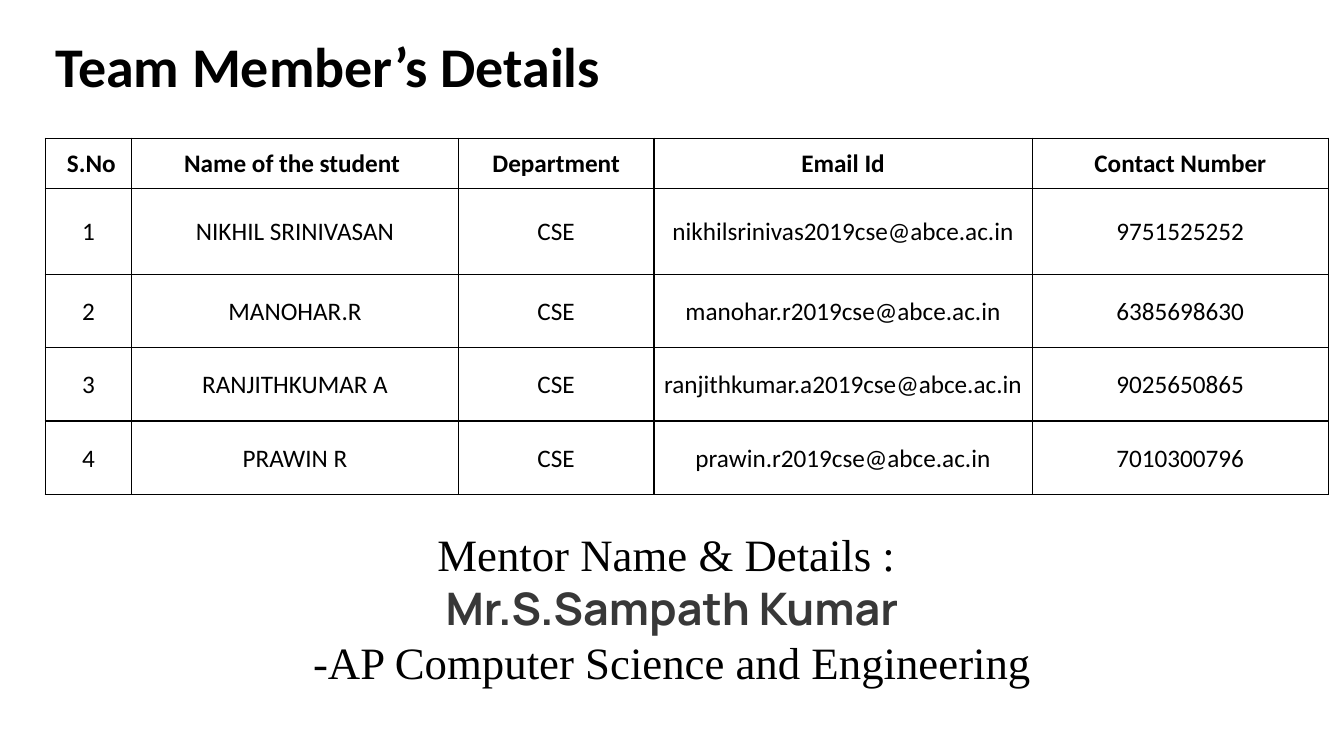
from lxml import etree
from pptx import Presentation
from pptx.dml.color import RGBColor
from pptx.enum.text import MSO_ANCHOR, MSO_AUTO_SIZE, PP_ALIGN
from pptx.oxml.ns import qn
from pptx.util import Cm, Pt

LEFT, CENTER = PP_ALIGN.LEFT, PP_ALIGN.CENTER
TOP, MIDDLE = MSO_ANCHOR.TOP, MSO_ANCHOR.MIDDLE
NO_AUTOFIT = MSO_AUTO_SIZE.NONE

BLACK = RGBColor(0x00, 0x00, 0x00)
GREY = RGBColor(0x38, 0x38, 0x38)

COL_WIDTHS = (2.18, 8.23, 4.93, 9.53, 7.47)
ROW_HEIGHTS = (1.27, 2.16, 1.85, 1.85, 1.85)
HEADERS = (" S.No", "Name of the student ", "Department", "Email Id", "Contact Number")
MEMBERS = (
    ("NIKHIL SRINIVASAN", "nikhilsrinivas2019cse@abce.ac.in", "9751525252"),
    ("MANOHAR.R", "manohar.r2019cse@abce.ac.in", "6385698630"),
    ("RANJITHKUMAR A", "ranjithkumar.a2019cse@abce.ac.in", "9025650865"),
    ("PRAWIN R", "prawin.r2019cse@abce.ac.in", "7010300796"),
)
MENTOR = (
    ("Mentor Name & Details : ", "Times New Roman", BLACK, False),
    ("Mr.S.Sampath Kumar", "Manrope", GREY, True),
    ("-AP Computer Science and Engineering", "Times New Roman", BLACK, False),
)


def write(p, text, size, font="Calibri", color=BLACK, bold=False, align=CENTER):
    """Put formatted text into a paragraph."""
    p.text = text
    p.alignment = align
    for r in p.runs:
        r.font.size = Pt(size)
        r.font.name = font
        r.font.color.rgb = color
        r.font.bold = bold


def add_borders(cell):
    """Draw a thin black line on each side of a cell."""
    tc_pr = cell._tc.get_or_add_tcPr()
    for i, side in enumerate(("a:lnL", "a:lnR", "a:lnT", "a:lnB")):
        ln = etree.Element(qn(side), w=str(Pt(1)))
        fill = etree.SubElement(ln, qn("a:solidFill"))
        etree.SubElement(fill, qn("a:srgbClr"), val=str(BLACK))
        tc_pr.insert(i, ln)


def add_title(s, text):
    """Place and format the title placeholder."""
    title = s.shapes.title
    title.left, title.top, title.width, title.height = Cm(1.14), Cm(0.66), Cm(14.4), Cm(1.96)
    tf = title.text_frame
    tf.auto_size = NO_AUTOFIT
    tf.word_wrap = False
    tf.vertical_anchor = TOP
    write(tf.paragraphs[0], text, 40, bold=True, align=LEFT)


def add_members(s):
    """Add the table of team members."""
    rows = [HEADERS]
    for number, (name, email, phone) in enumerate(MEMBERS, 1):
        rows.append((str(number), name, "CSE", email, phone))
    frame = s.shapes.add_table(len(rows), len(HEADERS), Cm(1.14), Cm(3.48),
                               Cm(sum(COL_WIDTHS)), Cm(sum(ROW_HEIGHTS)))
    table = frame.table
    table.horz_banding = False
    for column, width in zip(table.columns, COL_WIDTHS):
        column.width = Cm(width)
    for i, (row, height) in enumerate(zip(table.rows, ROW_HEIGHTS)):
        row.height = Cm(height)
        for cell, text in zip(row.cells, rows[i]):
            cell.fill.background()
            cell.vertical_anchor = MIDDLE
            cell.margin_left = cell.margin_right = cell.margin_top = Cm(0.03)
            cell.margin_bottom = 0
            write(cell.text_frame.paragraphs[0], text, 18, bold=i == 0)
            add_borders(cell)


def add_mentor(s):
    """Add the centred mentor lines."""
    tf = s.shapes.add_textbox(Cm(5.51), Cm(13.16), Cm(22.86), Cm(4.29)).text_frame
    tf.word_wrap = True
    tf.vertical_anchor = MIDDLE
    for i, (text, font, color, bold) in enumerate(MENTOR):
        p = tf.add_paragraph() if i else tf.paragraphs[0]
        write(p, text, 32, font, color, bold)


def main():
    """Build and save the slide."""
    prs = Presentation()
    prs.slide_width, prs.slide_height = Cm(33.87), Cm(19.05)
    s = prs.slides.add_slide(prs.slide_layouts[5])
    add_title(s, "Team Member’s Details")
    add_members(s)
    add_mentor(s)
    prs.save("out.pptx")


if __name__ == "__main__":
    main()
